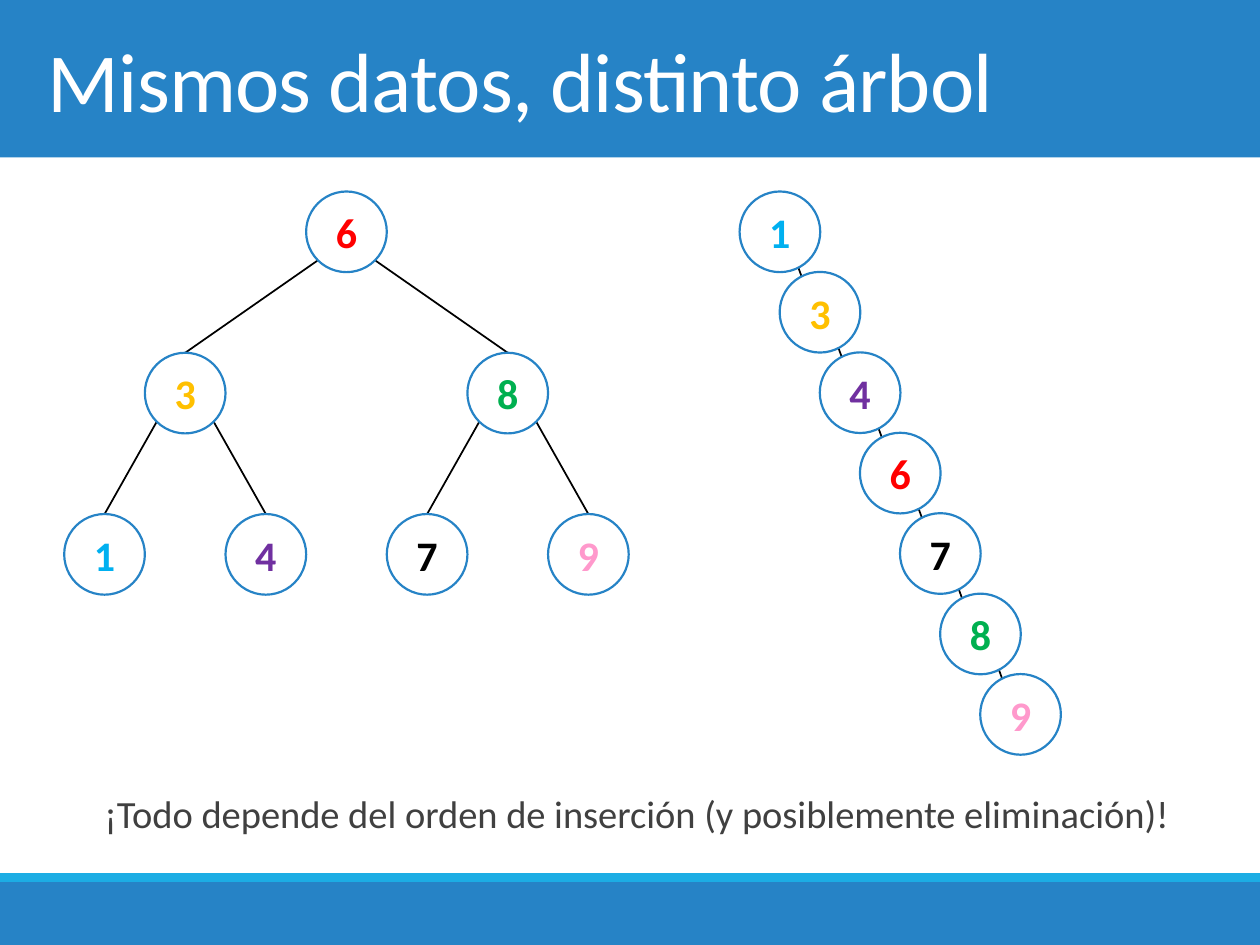
from lxml import etree
from pptx import Presentation
from pptx import util as u
from pptx.dml import color
from pptx.enum import shapes, text
from pptx.oxml import ns

COLORS = {
    "blue": "2683C6", "cyan": "1CADE4", "white": "FFFFFF", "body": "404040", "black": "000000",
    "1": "00B0F0", "3": "FFC000", "4": "7030A0", "6": "FF0000", "7": "000000", "8": "00B050", "9": "FF99CC",
}
DIAMETER = 46.08
BALANCED = {"6": None, "3": "6", "8": "6", "1": "3", "4": "3", "7": "8", "9": "8"}
CHAIN = {"1": None, "3": "1", "4": "3", "6": "4", "7": "6", "8": "7", "9": "8"}


def rgb(name):
    """Return the named colour."""
    return color.RGBColor.from_string(COLORS[name])


def apply(target, values):
    """Set every attribute in a dict of format values."""
    for name, value in values.items():
        setattr(target, name, value)


def place(shape, box):
    """Put a shape at a box given in points."""
    apply(shape, dict(zip(("left", "top", "width", "height"), map(u.Pt, box))))


def write(paragraph, words, size, color_name, bold=False):
    """Write one formatted run and return it."""
    run = paragraph.add_run()
    run.text = words
    apply(run.font, {"name": "Calibri", "size": u.Pt(size), "bold": bold})
    run.font.color.rgb = rgb(color_name)
    return run


def add_shape(slide, kind, box, fill, line=None):
    """Add a flat preset shape."""
    shape = slide.shapes.add_shape(kind, *map(u.Pt, box))
    shape.shadow.inherit = False
    shape.fill.solid()
    shape.fill.fore_color.rgb = rgb(fill)
    if line:
        shape.line.color.rgb = rgb(line)
        shape.line.width = u.Pt(1.25)
    else:
        shape.line.fill.background()
    return shape


def add_bands(slide, box):
    """Move the header and footer bands into the slide's layout."""
    left, top, width, height = box
    bands = [(0, 90, "blue"), (height - 36, 36, "blue"), (height - 41, 5, "cyan")]
    for index, (offset, band_height, fill) in enumerate(bands):
        band = add_shape(slide, shapes.MSO_SHAPE.RECTANGLE, (left, top + offset, width, band_height), fill)
        band.element.xpath(".//p:cNvPr")[0].set("id", str(101 + index))
        slide.slide_layout.shapes.element.insert(2 + index, band.element)


def fill_title(slide, box, words):
    """Fill the title placeholder."""
    title = slide.shapes.title
    place(title, box)
    apply(title.text_frame, {
        "word_wrap": True, "vertical_anchor": text.MSO_ANCHOR.MIDDLE, "auto_size": text.MSO_AUTO_SIZE.NONE,
    })
    paragraph = title.text_frame.paragraphs[0]
    paragraph.alignment = text.PP_ALIGN.LEFT
    run = write(paragraph, words, 48, "white")
    run.font._element.set("spc", "-50")


def fill_body(slide, box, words):
    """Fill the body placeholder with the closing remark."""
    body = slide.placeholders[1]
    place(body, box)
    apply(body.text_frame, {
        "word_wrap": True, "vertical_anchor": text.MSO_ANCHOR.TOP, "auto_size": text.MSO_AUTO_SIZE.NONE,
    })
    paragraph = body.text_frame.paragraphs[0]
    apply(paragraph, {
        "alignment": text.PP_ALIGN.CENTER, "line_spacing": 1.5,
        "space_before": u.Pt(12), "space_after": u.Pt(2),
    })
    properties = paragraph._p.get_or_add_pPr()
    properties.set("marL", str(u.Pt(7.2)))
    properties.set("indent", str(u.Pt(-7.2)))
    bullet_color = etree.SubElement(properties, ns.qn("a:buClr"))
    etree.SubElement(bullet_color, ns.qn("a:srgbClr")).set("val", COLORS["cyan"])
    etree.SubElement(properties, ns.qn("a:buChar")).set("char", " ")
    write(paragraph, words, 22, "body")


def add_edge(slide, start, end):
    """Add a thin black line between two points."""
    edge = slide.shapes.add_connector(shapes.MSO_CONNECTOR.STRAIGHT, *map(u.Pt, start + end))
    edge.line.color.rgb = rgb("black")
    edge.line.width = u.Pt(1)
    etree.SubElement(edge.element.spPr, ns.qn("a:effectLst"))
    return edge


def add_node(slide, position, key):
    """Add a circle holding one key."""
    box = (*position, DIAMETER, DIAMETER)
    node = add_shape(slide, shapes.MSO_SHAPE.OVAL, box, "white", "blue")
    node.text_frame.vertical_anchor = text.MSO_ANCHOR.MIDDLE
    paragraph = node.text_frame.paragraphs[0]
    paragraph.alignment = text.PP_ALIGN.CENTER
    write(paragraph, key, 24, key, bold=True)
    return node


def add_tree(slide, box, parents, leave, arrive):
    """Draw a search tree: columns follow key order, rows follow depth."""
    left, top, width, height = box
    depths = {}
    for key, parent in parents.items():
        depths[key] = depths[parent] + 1 if parent else 0
    column = (width - DIAMETER) / (len(parents) - 1)
    row = (height - DIAMETER) / max(depths.values())
    positions = {
        key: (left + index * column, top + depths[key] * row) for index, key in enumerate(sorted(parents))
    }

    def anchor(key, fractions, mirrored):
        """Return a point at fractions of a node's box."""
        across, down = fractions
        across = 1 - across if mirrored else across
        x, y = positions[key]
        return x + across * DIAMETER, y + down * DIAMETER

    edges = {}
    for key, parent in parents.items():
        if parent:
            mirrored = key < parent
            edges[key] = add_edge(slide, anchor(parent, leave, mirrored), anchor(key, arrive, mirrored))
    for key in parents:
        node = add_node(slide, positions[key], key)
        if key in edges and arrive == (0.5, 0):
            edges[key].end_connect(node, 0)


def main():
    """Build and save the slide."""
    presentation = Presentation()
    apply(presentation, {"slide_width": u.Pt(720), "slide_height": u.Pt(540)})
    slide = presentation.slides.add_slide(presentation.slide_layouts[1])
    add_bands(slide, (0, 0, 720, 540))
    fill_title(slide, (20.16, 0, 680.4, 90), "Mismos datos, distinto árbol")
    fill_body(slide, (20.16, 434.88, 680.4, 52.56),
              "¡Todo depende del orden de inserción (y posiblemente eliminación)!")
    add_tree(slide, (36.72, 109.44, 322.56, 230.4), BALANCED, (0.85, 0.85), (0.5, 0))
    add_tree(slide, (422.64, 109.44, 183.6, 321.84), CHAIN, (0.72, 0.92), (0.28, 0.08))
    presentation.save("out.pptx")


if __name__ == "__main__":
    main()
